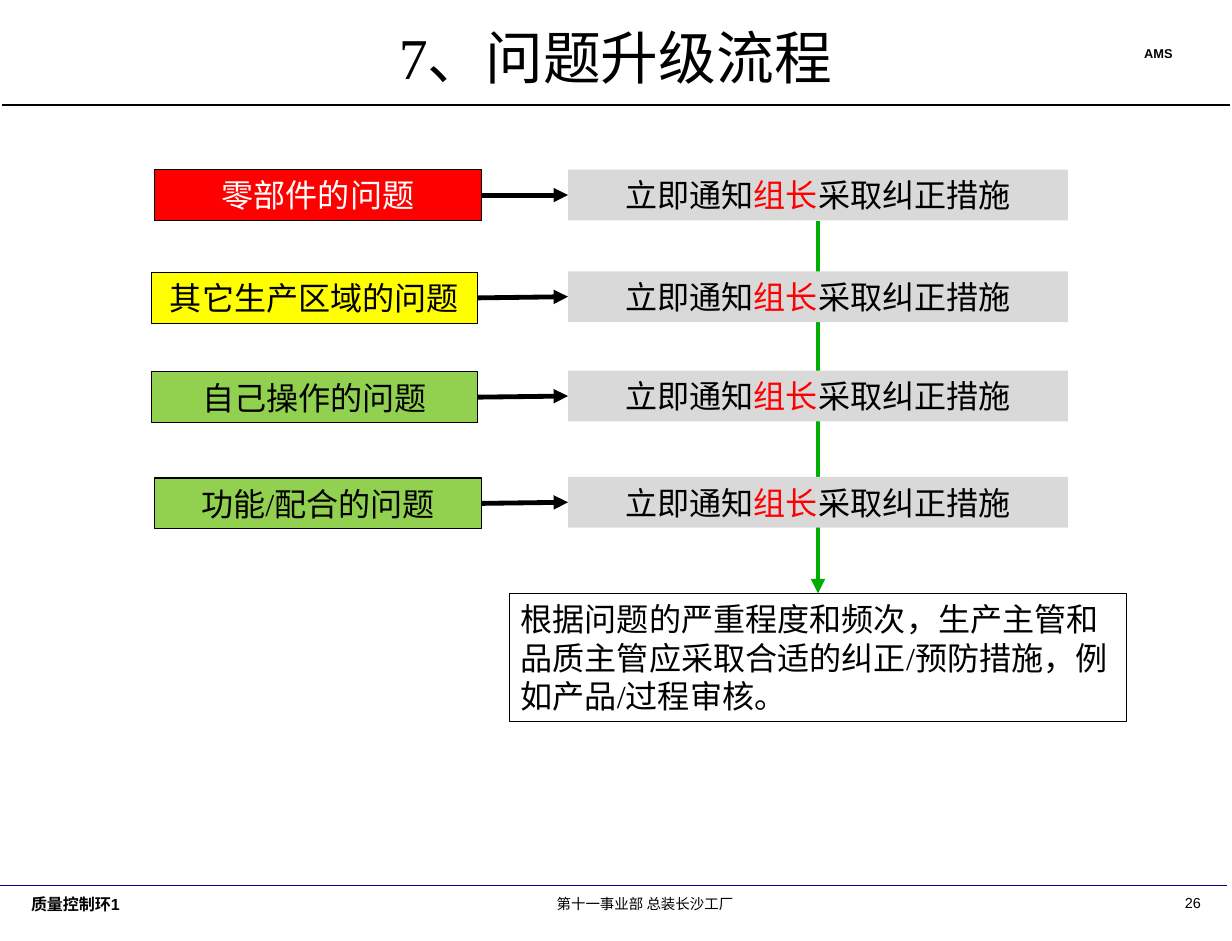
from pptx import Presentation
from pptx.dml.color import RGBColor
from pptx.enum.shapes import MSO_CONNECTOR, MSO_SHAPE
from pptx.enum.text import MSO_ANCHOR, MSO_AUTO_SIZE, PP_ALIGN
from pptx.oxml.ns import qn
from pptx.util import Inches, Pt
from lxml import etree

STRAIGHT = MSO_CONNECTOR.STRAIGHT
RECT = MSO_SHAPE.RECTANGLE
MIDDLE, TOP = MSO_ANCHOR.MIDDLE, MSO_ANCHOR.TOP
LEFT, CENTER, RIGHT = PP_ALIGN.LEFT, PP_ALIGN.CENTER, PP_ALIGN.RIGHT
NO_FIT = MSO_AUTO_SIZE.NONE
SANS, SERIF = "Arial", "Times New Roman"
COLORS = {
    "black": "000000", "white": "FFFFFF", "red": "FF0000", "yellow": "FFFF00",
    "lime": "92D050", "gray": "D9D9D9", "green": "00AE00", "navy": "000080",
}
ISSUES = [
    ("零部件的问题", "red", "white", 1.34, 1.47, 1.47),
    ("其它生产区域的问题", "yellow", "black", 1.31, 2.36, 2.35),
    ("自己操作的问题", "lime", "black", 1.31, 3.22, 3.21),
    ("功能/配合的问题", "lime", "black", 1.34, 4.14, 4.13),
]
NOTICE = [("立即通知", "black"), ("组长", "red"), ("采取纠正措施", "black")]
RESULT = "根据问题的严重程度和频次，生产主管和品质主管应采取合适的纠正/预防措施，例如产品/过程审核。"


def color(name):
    """Return the named colour."""
    return RGBColor.from_string(COLORS[name])


def write(shape, runs, size, font, align, anchor=MIDDLE, bold=False, wrap=True):
    """Fill a shape with one paragraph of (text, colour) runs."""
    frame = shape.text_frame
    frame.word_wrap = wrap
    frame.auto_size = NO_FIT
    frame.vertical_anchor = anchor
    para = frame.paragraphs[0]
    para.alignment = align
    para.font.size = Pt(size)
    para.font.name = font
    para.font.bold = bold
    for text, tint in runs:
        run = para.add_run()
        run.text = text
        run.font.color.rgb = color(tint)


def add_label(slide, box, text, size, align, **style):
    """Add a sans text box."""
    shape = slide.shapes.add_textbox(*map(Inches, box))
    write(shape, [(text, "black")], size, SANS, align, **style)


def add_box(slide, box, runs, fill=None, edge=None, align=CENTER):
    """Add a flow box with text."""
    shape = slide.shapes.add_shape(RECT, *map(Inches, box))
    shape.shadow.inherit = False
    if fill:
        shape.fill.solid()
        shape.fill.fore_color.rgb = color(fill)
    else:
        shape.fill.background()
    if edge:
        shape.line.color.rgb = color(edge)
        shape.line.width = Pt(0.75)
    else:
        shape.line.fill.background()
    write(shape, runs, 20, SERIF, align)
    return shape


def add_line(slide, ends, tint, width):
    """Add a straight line without a shadow."""
    line = slide.shapes.add_connector(STRAIGHT, *map(Inches, ends))
    line.line.color.rgb = color(tint)
    line.line.width = Pt(width)
    etree.SubElement(line.element.spPr, qn("a:effectLst"))
    return line


def add_arrow(slide, start, site, end, goal, tint):
    """Join two boxes with an arrow."""
    arrow = add_line(slide, (0, 0, 1, 1), tint, 3)
    arrow.begin_connect(start, site)
    arrow.end_connect(end, goal)
    etree.SubElement(arrow.line._get_or_add_ln(), qn("a:tailEnd"), type="triangle")
    return arrow


def add_header(slide, left, top, width):
    """Place the title, its tag and the rule below."""
    title = slide.shapes.title
    title.left, title.top = Inches(left + 0.71), Inches(top + 0.07)
    title.width, title.height = Inches(9.2), Inches(0.83)
    write(title, [("7、问题升级流程", "black")], 36, SERIF, CENTER)
    add_label(slide, (left + 9.79, top + 0.35, 0.55, 0.23), "AMS", 8, LEFT,
              bold=True, wrap=False)
    add_line(slide, (left, top + 0.91, left + width, top + 0.91), "black", 0.75)


def add_flow(slide, left, top):
    """Place the issue rows, the result and their arrows."""
    notices = []
    for text, fill, ink, x, y, note_y in ISSUES:
        issue = add_box(slide, (left + x, top + y, 2.83, 0.44),
                        [(text, ink)], fill, "black")
        notice = add_box(slide, (left + 4.92, top + note_y, 4.33, 0.44), NOTICE, "gray")
        add_arrow(slide, issue, 3, notice, 1, "black")
        notices.append(notice)
    result = add_box(slide, (left + 4.41, top + 5.14, 5.35, 1.11),
                     [(RESULT, "black")], edge="black", align=LEFT)
    trunk = add_arrow(slide, notices[0], 2, result, 0, "green")
    slide.shapes.element.insert(2, trunk.element)


def add_footer(slide, left, top, width):
    """Place the bottom rule and the three footer texts."""
    add_line(slide, (left, top, left + width, top), "navy", 1)
    add_label(slide, (left + 0.17, top + 0.03, 1.75, 0.44), "质量控制环1", 10, LEFT,
              anchor=TOP, bold=True)
    add_label(slide, (left + 4, top + 0.03, 3.17, 0.44), "第十一事业部 总装长沙工厂",
              9, CENTER, anchor=TOP)
    add_label(slide, (left + 10.11, top + 0.02, 0.39, 0.25), "26", 9, RIGHT,
              anchor=TOP, wrap=False)


def main():
    """Build and save the slide."""
    deck = Presentation()
    deck.slide_width, deck.slide_height = Inches(10.67), Inches(8.15)
    slide = deck.slides.add_slide(deck.slide_layouts[5])
    add_header(slide, 0.02, 0, 10.63)
    add_flow(slide, 0, 0)
    add_footer(slide, 0, 7.67, 10.63)
    deck.save("out.pptx")


if __name__ == "__main__":
    main()
